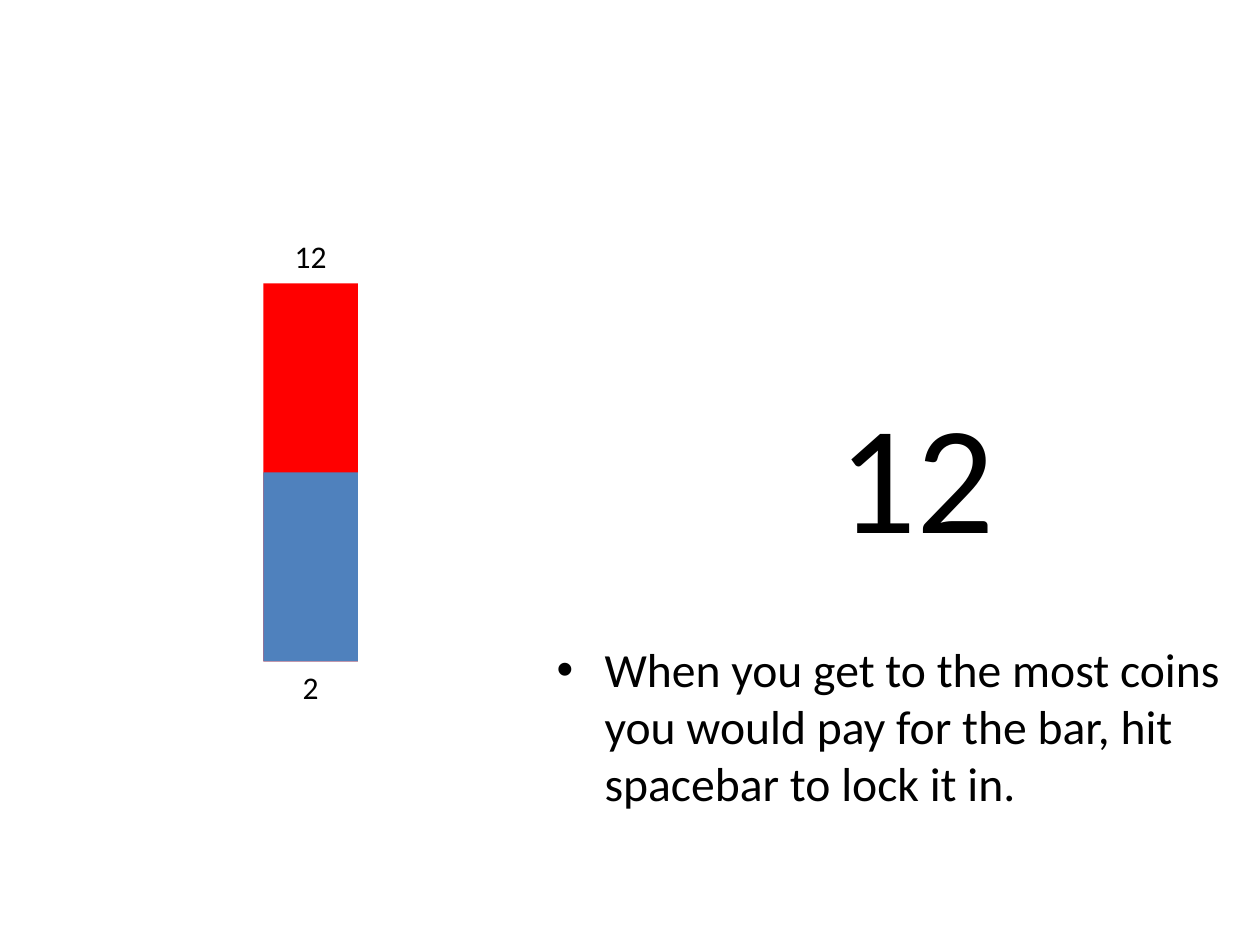
"""Build a slide with a two-part price bar, the current bid and an instruction."""
from dataclasses import dataclass

from lxml.etree import SubElement
from pptx import Presentation
from pptx.dml.color import RGBColor
from pptx.enum.shapes import MSO_SHAPE as Preset
from pptx.enum.text import MSO_AUTO_SIZE as AutoSize, PP_ALIGN as Align
from pptx.oxml.ns import qn
from pptx.util import Pt

PX = 9144


@dataclass(frozen=True)
class Theme:
    font: str = "Calibri"
    text: str = "000000"
    upper: str = "FF0000"
    lower: str = "4F81BD"
    label_size: float = 18
    bid_size: float = 88
    body_size: float = 27.2
    body_space: float = 5.4


class SlideBuilder:
    def __init__(self, slide, theme):
        self.slide = slide
        self.theme = theme

    def group(self):
        return self.slide.shapes.add_group_shape().shapes

    def bar(self, shapes, box, color):
        shape = shapes.add_shape(Preset.RECTANGLE, *(value * PX for value in box))
        shape.shadow.inherit = False
        shape.fill.solid()
        shape.fill.fore_color.rgb = RGBColor.from_string(color)
        shape.line.fill.background()

    def text(self, shapes, box, words, size, align=Align.LEFT, grow=True):
        frame = shapes.add_textbox(*(value * PX for value in box)).text_frame
        frame.word_wrap = True
        frame.auto_size = AutoSize.SHAPE_TO_FIT_TEXT if grow else AutoSize.NONE
        paragraph = frame.paragraphs[0]
        paragraph.text = words
        paragraph.alignment = align
        paragraph.font.name = self.theme.font
        paragraph.font.size = Pt(size)
        paragraph.font.color.rgb = RGBColor.from_string(self.theme.text)
        return paragraph

    def bullet(self, shapes, box, words, indent):
        paragraph = self.text(shapes, box, words, self.theme.body_size, grow=False)
        paragraph.space_before = Pt(self.theme.body_space)
        properties = paragraph._p.get_or_add_pPr()
        properties.set("marL", str(indent * PX))
        properties.set("indent", str(-indent * PX))
        SubElement(properties, qn("a:buFont")).set("typeface", "Arial")
        SubElement(properties, qn("a:buChar")).set("char", "•")
        properties.append(properties.find(qn("a:defRPr")))


def main():
    presentation = Presentation()
    presentation.slide_width, presentation.slide_height = 1000 * PX, 750 * PX
    slide = presentation.slides.add_slide(presentation.slide_layouts[6])
    theme = Theme()
    builder = SlideBuilder(slide, theme)

    left, top, width, height = 209, 225, 75, 300
    half = height // 2
    price_bar = builder.group()
    builder.bar(price_bar, (left, top, width, height), theme.upper)
    builder.bar(price_bar, (left, top + half, width, half), theme.lower)
    for label, label_top in (("12", top - 42), ("2", top + height)):
        builder.text(price_bar, (left, label_top, width, 40), label,
                     theme.label_size, Align.CENTER)

    builder.text(slide.shapes, (656, 296, 178, 158), "12", theme.bid_size)
    builder.bullet(
        slide.shapes, (432, 503, 550, 128),
        "When you get to the most coins you would pay for the bar, "
        "hit spacebar to lock it in.", 38)
    presentation.save("out.pptx")


if __name__ == "__main__":
    main()
